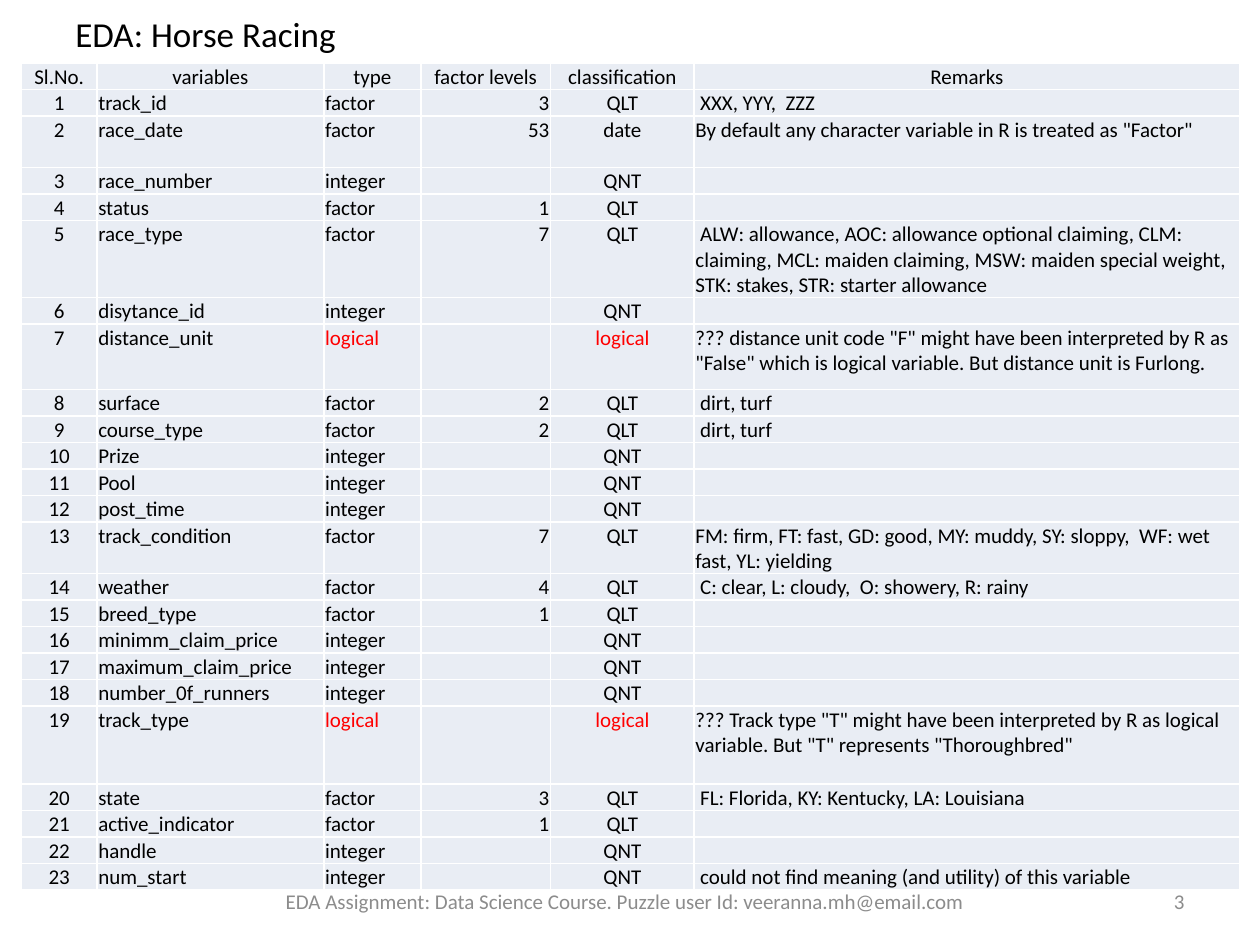
from dataclasses import dataclass

import lxml.etree
import pptx
import pptx.dml.color
import pptx.enum.text
import pptx.oxml.ns
import pptx.slide
import pptx.table
import pptx.util

Inches = pptx.util.Inches
Align = pptx.enum.text.PP_ALIGN

COLORS = {
    "text": "000000",
    "warning": "FF0000",
    "footer": "8C8C8C",
    "cell": "E9EDF4",
    "border": "FFFFFF",
}
FONT_NAME = "Calibri"
BODY_SIZE = 12
ROW_HEIGHT = 0.21
BORDER_POINTS = 1


@dataclass
class Caption:
    text: str
    left: float
    top: float
    width: float
    height: float
    size: int
    color: str
    alignment: Align


@dataclass
class Column:
    heading: str
    width: float
    alignment: Align


@dataclass
class Variable:
    name: str
    type: str
    levels: str
    classification: str
    remarks: str = ""
    height: float = ROW_HEIGHT


CAPTIONS = [
    Caption("EDA: Horse Racing", 0.5, 0.08, 9, 0.37, 20, "text", Align.LEFT),
    Caption("EDA Assignment: Data Science Course. Puzzle user Id: veeranna.mh@email.com",
            0.92, 6.95, 8.08, 0.4, BODY_SIZE, "footer", Align.CENTER),
    Caption("3", 7.17, 6.95, 2.33, 0.4, BODY_SIZE, "footer", Align.RIGHT),
]

COLUMNS = [
    Column("Sl.No.", 0.6, Align.CENTER),
    Column("variables", 1.8, Align.LEFT),
    Column("type", 0.77, Align.LEFT),
    Column("factor levels", 1.03, Align.RIGHT),
    Column("classification", 1.14, Align.CENTER),
    Column("Remarks", 4.33, Align.LEFT),
]

VARIABLES = [
    Variable("track_id", "factor", "3", "QLT", " XXX, YYY,  ZZZ"),
    Variable("race_date", "factor", "53", "date",
             'By default any character variable in R is treated as "Factor"', 0.41),
    Variable("race_number", "integer", "", "QNT"),
    Variable("status", "factor", "1", "QLT"),
    Variable("race_type", "factor", "7", "QLT",
             " ALW: allowance, AOC: allowance optional claiming, CLM: claiming, "
             "MCL: maiden claiming, MSW: maiden special weight, STK: stakes, "
             "STR: starter allowance"),
    Variable("disytance_id", "integer", "", "QNT"),
    Variable("distance_unit", "logical", "", "logical",
             '??? distance unit code "F" might have been interpreted by R as "False" '
             "which is logical variable. But distance unit is Furlong.", 0.52),
    Variable("surface", "factor", "2", "QLT", " dirt, turf"),
    Variable("course_type", "factor", "2", "QLT", " dirt, turf"),
    Variable("Prize", "integer", "", "QNT"),
    Variable("Pool", "integer", "", "QNT"),
    Variable("post_time", "integer", "", "QNT"),
    Variable("track_condition", "factor", "7", "QLT",
             "FM: firm, FT: fast, GD: good, MY: muddy, SY: sloppy,  WF: wet fast, "
             "YL: yielding"),
    Variable("weather", "factor", "4", "QLT",
             " C: clear, L: cloudy,  O: showery, R: rainy"),
    Variable("breed_type", "factor", "1", "QLT"),
    Variable("minimm_claim_price", "integer", "", "QNT"),
    Variable("maximum_claim_price", "integer", "", "QNT"),
    Variable("number_0f_runners", "integer", "", "QNT"),
    Variable("track_type", "logical", "", "logical",
             '??? Track type "T" might have been interpreted by R as logical variable. '
             'But "T" represents "Thoroughbred"', 0.62),
    Variable("state", "factor", "3", "QLT", " FL: Florida, KY: Kentucky, LA: Louisiana"),
    Variable("active_indicator", "factor", "1", "QLT"),
    Variable("handle", "integer", "", "QNT"),
    Variable("num_start", "integer", "", "QNT",
             " could not find meaning (and utility) of this variable"),
]


def rgb(color: str) -> pptx.dml.color.RGBColor:
    return pptx.dml.color.RGBColor.from_string(COLORS[color])


def write_text(text_frame, text: str, size: int, color: str, alignment: Align) -> None:
    paragraph = text_frame.paragraphs[0]
    if text:
        paragraph.text = text
    paragraph.alignment = alignment
    paragraph.font.name = FONT_NAME
    paragraph.font.size = pptx.util.Pt(size)
    paragraph.font.color.rgb = rgb(color)


def add_caption(slide: pptx.slide.Slide, caption: Caption) -> None:
    shape = slide.shapes.add_textbox(Inches(caption.left), Inches(caption.top),
                                     Inches(caption.width), Inches(caption.height))
    shape.text_frame.word_wrap = True
    shape.text_frame.vertical_anchor = pptx.enum.text.MSO_ANCHOR.MIDDLE
    write_text(shape.text_frame, caption.text, caption.size, caption.color,
               caption.alignment)


def add_borders(cell) -> None:
    properties = cell._tc.get_or_add_tcPr()
    for side in ("a:lnL", "a:lnR", "a:lnT", "a:lnB"):
        line = lxml.etree.SubElement(properties, pptx.oxml.ns.qn(side),
                                     w=str(pptx.util.Pt(BORDER_POINTS)))
        fill = lxml.etree.SubElement(line, pptx.oxml.ns.qn("a:solidFill"))
        lxml.etree.SubElement(fill, pptx.oxml.ns.qn("a:srgbClr"), val=COLORS["border"])


def fill_row(table: pptx.table.Table, index: int, texts: list[str],
             alignments: list[Align], height: float) -> None:
    table.rows[index].height = Inches(height)
    for cell, text, alignment in zip(table.rows[index].cells, texts, alignments):
        cell.margin_left = cell.margin_right = cell.margin_top = Inches(0.01)
        cell.margin_bottom = Inches(0)
        add_borders(cell)
        cell.fill.solid()
        cell.fill.fore_color.rgb = rgb("cell")
        color = "warning" if text == "logical" else "text"
        write_text(cell.text_frame, text, BODY_SIZE, color, alignment)


def add_variable_table(slide: pptx.slide.Slide) -> None:
    width = sum(column.width for column in COLUMNS)
    height = ROW_HEIGHT + sum(variable.height for variable in VARIABLES)
    table = slide.shapes.add_table(len(VARIABLES) + 1, len(COLUMNS), Inches(0.17),
                                   Inches(0.5), Inches(width), Inches(height)).table
    table.first_row = False
    table.horz_banding = False
    for table_column, column in zip(table.columns, COLUMNS):
        table_column.width = Inches(column.width)
    fill_row(table, 0, [column.heading for column in COLUMNS],
             [Align.CENTER] * len(COLUMNS), ROW_HEIGHT)
    alignments = [column.alignment for column in COLUMNS]
    for number, variable in enumerate(VARIABLES, start=1):
        texts = [str(number), variable.name, variable.type, variable.levels,
                 variable.classification, variable.remarks]
        fill_row(table, number, texts, alignments, variable.height)


def main() -> None:
    presentation = pptx.Presentation()
    presentation.slide_width = Inches(10)
    presentation.slide_height = Inches(7.5)
    slide = presentation.slides.add_slide(presentation.slide_layouts[6])
    for caption in CAPTIONS:
        add_caption(slide, caption)
    add_variable_table(slide)
    presentation.save("out.pptx")


if __name__ == "__main__":
    main()
